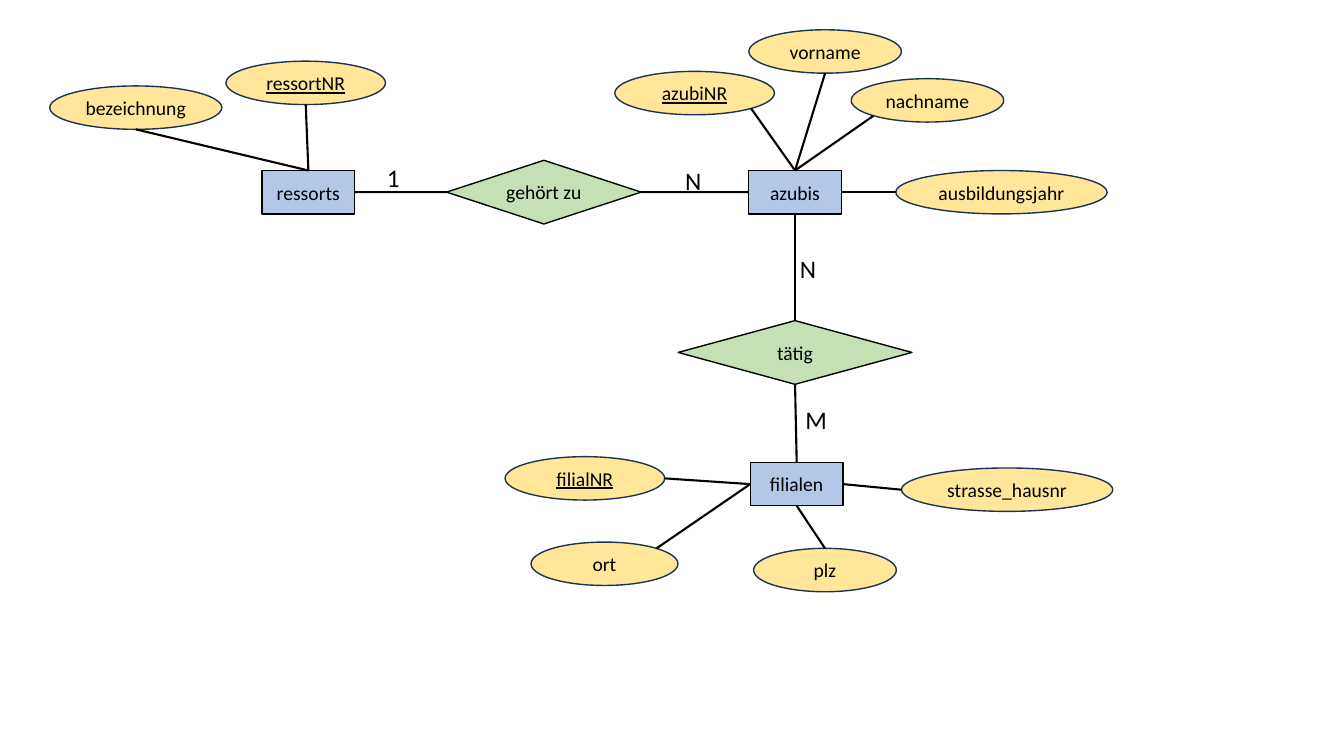
from lxml import etree
from pptx import Presentation
from pptx.dml.color import RGBColor
from pptx.enum.shapes import MSO_CONNECTOR, MSO_SHAPE
from pptx.enum.text import MSO_ANCHOR, PP_ALIGN
from pptx.oxml.ns import qn
from pptx.util import Pt

RECT, DIAMOND, OVAL = MSO_SHAPE.RECTANGLE, MSO_SHAPE.DIAMOND, MSO_SHAPE.OVAL
STRAIGHT = MSO_CONNECTOR.STRAIGHT
MIDDLE, CENTER, LEFT_ALIGN = MSO_ANCHOR.MIDDLE, PP_ALIGN.CENTER, PP_ALIGN.LEFT

BLACK = RGBColor(0x00, 0x00, 0x00)
NAVY = RGBColor(0x1E, 0x32, 0x56)
BLUE = RGBColor(0xB4, 0xC7, 0xE7)
GREEN = RGBColor(0xC5, 0xE0, 0xB4)
YELLOW = RGBColor(0xFF, 0xE6, 0x99)

TOP, LEFT, BOTTOM, RIGHT = range(4)
DIAGONAL = 0.125 ** 0.5
OVAL_SITES = {
    "top": (0.5, 0),
    "bottom": (0.5, 1),
    "left": (0, 0.5),
    "right": (1, 0.5),
    "bottom left": (0.5 - DIAGONAL, 0.5 + DIAGONAL),
    "bottom right": (0.5 + DIAGONAL, 0.5 + DIAGONAL),
    "top right": (0.5 + DIAGONAL, 0.5 - DIAGONAL),
}

NODE_H, ENTITY_W, DIAMOND_H = 31, 66.4, 45.5

ENTITIES = {
    "ressorts": (187.1, 121.8),
    "azubis": (534.7, 121.8),
    "filialen": (535.9, 330.3),
}

RELATIONS = [
    ("gehört zu", 319, 114.5, 139, ("ressorts", RIGHT, LEFT), ("azubis", LEFT, RIGHT)),
    ("tätig", 484.4, 229, 167, ("azubis", BOTTOM, TOP), ("filialen", TOP, BOTTOM)),
]

ATTRIBUTES = [
    ("ressortNR", 161.4, 43.7, 114, True, "ressorts", TOP, "bottom"),
    ("bezeichnung", 35.5, 61.4, 123, False, "ressorts", TOP, "bottom"),
    ("azubiNR", 439.2, 51, 114, True, "azubis", TOP, "bottom right"),
    ("vorname", 534.9, 21.3, 109, False, "azubis", TOP, "bottom"),
    ("nachname", 608, 56.2, 109, False, "azubis", TOP, "bottom left"),
    ("ausbildungsjahr", 639.8, 121.8, 151, False, "azubis", RIGHT, "left"),
    ("filialNR", 360.8, 326.2, 114, True, "filialen", LEFT, "right"),
    ("ort", 379.3, 387.2, 105, False, "filialen", LEFT, "top right"),
    ("plz", 538.3, 391.7, 102, False, "filialen", BOTTOM, "top"),
    ("strasse_hausnr", 643.9, 334.3, 151, False, "filialen", RIGHT, "left"),
]

CARDINALITIES = [
    ("1", 269.3, 112.3),
    ("N", 482.4, 114.7),
    ("N", 564.2, 177.7),
    ("M", 568.3, 285.3),
]


def write(sp, text, align, **font):
    tf = sp.text_frame
    tf.word_wrap = True
    p = tf.paragraphs[0]
    p.alignment = align
    r = p.add_run()
    r.text = text
    r.font.color.rgb = BLACK
    for name, value in {"name": "Calibri", **font}.items():
        setattr(r.font, name, value)


def add_node(s, kind, text, box, fill, outline=BLACK, underline=None):
    sp = s.shapes.add_shape(kind, *map(Pt, box))
    sp.shadow.inherit = False
    sp.fill.solid()
    sp.fill.fore_color.rgb = fill
    sp.line.color.rgb = outline
    sp.line.width = Pt(1)
    sp.text_frame.vertical_anchor = MIDDLE
    write(sp, text, CENTER, size=Pt(14), underline=underline)
    return sp


def add_link(s, sp, side, x=0, y=0):
    cxn = s.shapes.add_connector(STRAIGHT, 0, 0, x, y)
    cxn.begin_connect(sp, side)
    cxn.line.color.rgb = BLACK
    cxn.line.width = Pt(1.5)
    etree.SubElement(cxn.element.spPr, qn("a:effectLst"))
    return cxn


def add_relation(s, entities, text, left, top, width, *ends):
    sp = add_node(s, DIAMOND, text, (left, top, width, DIAMOND_H), GREEN)
    for entity, entity_side, side in ends:
        add_link(s, entities[entity], entity_side).end_connect(sp, side)


def add_attribute(s, entities, text, left, top, width, key, entity, side, site):
    add_node(s, OVAL, text, (left, top, width, NODE_H), YELLOW, NAVY, key or None)
    fx, fy = OVAL_SITES[site]
    add_link(s, entities[entity], side, Pt(left + fx * width), Pt(top + fy * NODE_H))


def add_cardinality(s, text, left, top):
    sp = s.shapes.add_textbox(Pt(left), Pt(top), Pt(19.5), Pt(29))
    write(sp, text, LEFT_ALIGN, size=Pt(18))


def main():
    prs = Presentation()
    prs.slide_width, prs.slide_height = Pt(960), Pt(540)
    s = prs.slides.add_slide(prs.slide_layouts[6])
    entities = {
        name: add_node(s, RECT, name, (left, top, ENTITY_W, NODE_H), BLUE)
        for name, (left, top) in ENTITIES.items()
    }
    for relation in RELATIONS:
        add_relation(s, entities, *relation)
    for attribute in ATTRIBUTES:
        add_attribute(s, entities, *attribute)
    for cardinality in CARDINALITIES:
        add_cardinality(s, *cardinality)
    prs.save("out.pptx")


if __name__ == "__main__":
    main()
